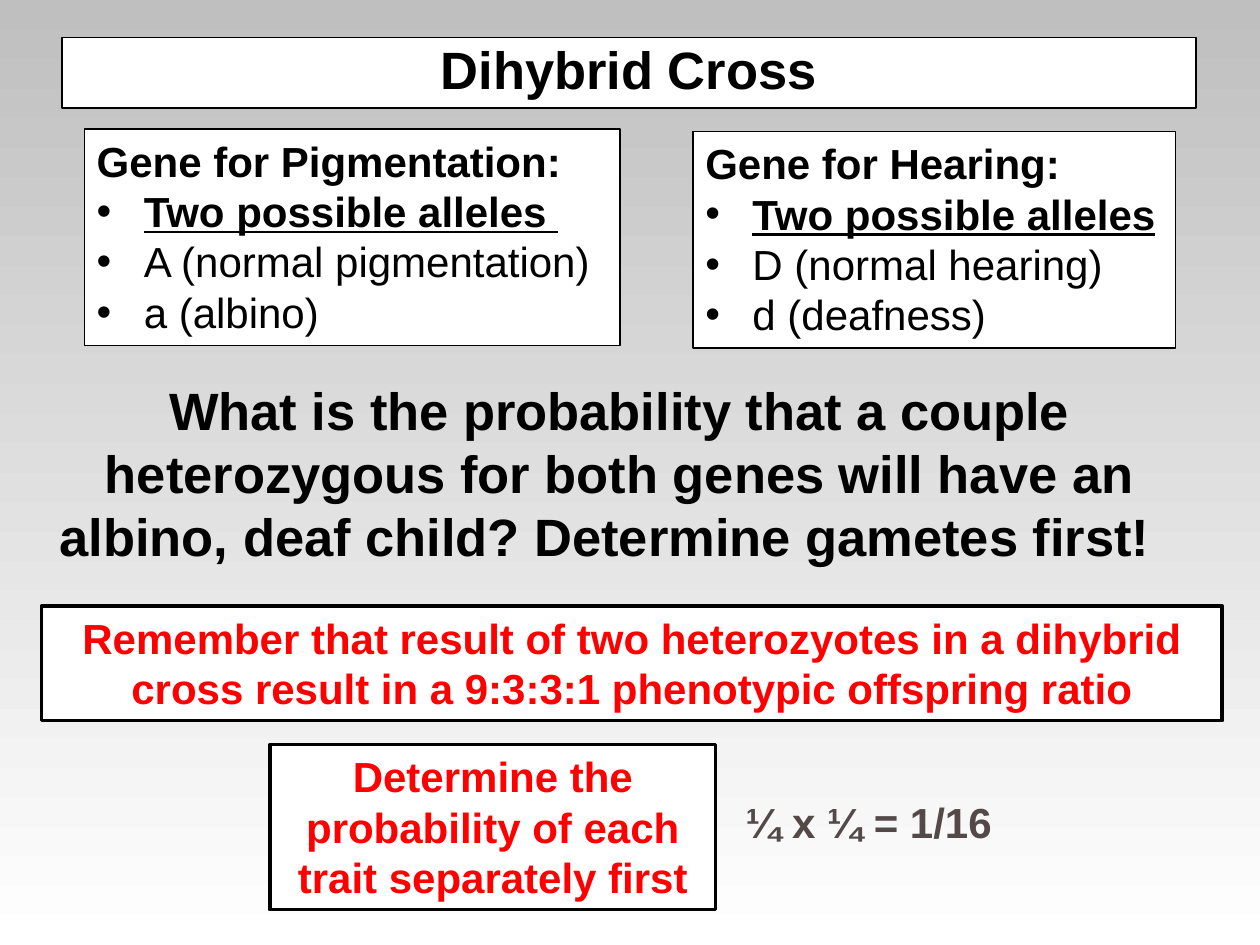
from pptx import Presentation
from pptx.dml.color import RGBColor
from pptx.enum.shapes import MSO_SHAPE
from pptx.enum.text import MSO_ANCHOR, PP_ALIGN as Align
from pptx.oxml.ns import qn
from pptx.util import Cm, Pt
from lxml.etree import SubElement

BLACK = RGBColor(0x00, 0x00, 0x00)
WHITE = RGBColor(0xFF, 0xFF, 0xFF)
GREY = RGBColor(0xBF, 0xBF, 0xBF)
BROWN = RGBColor(0x53, 0x49, 0x49)
RED = RGBColor(0xFF, 0x00, 0x00)


class SlideBuilder:
    """Holds the style and the current slide, and adds each kind of element."""

    font_name = "Arial"
    body_size = 24
    heading_size = 30
    bullet_indent = Cm(0.95)

    def __init__(self, slide):
        self.slide = slide

    def background(self, top, bottom):
        fill = self.slide.background.fill
        fill.gradient()
        fill.gradient_angle = 270
        for stop, color in zip(fill.gradient_stops, (top, bottom)):
            stop.color.rgb = color

    def style(self, paragraph, size, color, align, bold=True, underline=False):
        paragraph.alignment = align
        for run in paragraph.runs:
            font = run.font
            font.name, font.size = self.font_name, Pt(size)
            font.bold, font.underline = bold, underline
            font.color.rgb = color

    def bullet(self, paragraph):
        properties = paragraph._p.get_or_add_pPr()
        properties.set("marL", str(self.bullet_indent))
        properties.set("indent", str(-self.bullet_indent))
        SubElement(properties, qn("a:buFont"), typeface=self.font_name)
        SubElement(properties, qn("a:buChar"), char="•")

    def panel(self, box, line_width):
        shape = self.slide.shapes.add_shape(MSO_SHAPE.RECTANGLE, *map(Cm, box))
        shape.shadow.inherit = False
        shape.fill.solid()
        shape.fill.fore_color.rgb = WHITE
        shape.line.color.rgb = BLACK
        shape.line.width = Pt(line_width)
        shape.text_frame.vertical_anchor = MSO_ANCHOR.TOP
        return shape

    def boxed_text(self, box, text, size, color, line_width):
        text_frame = self.panel(box, line_width).text_frame
        text_frame.text = text
        self.style(text_frame.paragraphs[0], size, color, Align.CENTER)
        return text_frame

    def plain_text(self, box, text, size, color, align):
        text_frame = self.slide.shapes.add_textbox(*map(Cm, box)).text_frame
        text_frame.word_wrap = True
        text_frame.text = text
        self.style(text_frame.paragraphs[0], size, color, align)

    def gene_panel(self, box, heading, subheading, alleles):
        text_frame = self.panel(box, 0.75).text_frame
        text_frame.text = "\n".join([heading, subheading, *alleles])
        for index, paragraph in enumerate(text_frame.paragraphs):
            if index > 0:
                self.bullet(paragraph)
            self.style(paragraph, self.body_size, BLACK, Align.JUSTIFY,
                       bold=index < 2, underline=index == 1)


def main():
    presentation = Presentation()
    presentation.slide_width, presentation.slide_height = Cm(25.4), Cm(19.05)
    slide = presentation.slides.add_slide(presentation.slide_layouts[6])
    builder = SlideBuilder(slide)
    body, heading = builder.body_size, builder.heading_size

    builder.background(GREY, WHITE)
    title = builder.boxed_text((1.25, 0.76, 22.86, 1.42), "Dihybrid Cross",
                               heading, BLACK, 0.75)
    title.paragraphs[0].line_spacing = 0.9

    builder.gene_panel((1.7, 2.6, 10.8, 4.37), "Gene for Pigmentation: ",
                       "Two possible alleles ",
                       ["A (normal pigmentation) ", "a (albino)"])
    builder.gene_panel((13.97, 2.65, 9.73, 4.37), "Gene for Hearing: ",
                       "Two possible alleles",
                       ["D (normal hearing) ", "d (deafness)"])

    builder.plain_text((0.33, 7.49, 24.33, 4.09),
                       "What is the probability that a couple heterozygous for both genes "
                       "will have an albino, deaf child? Determine gametes first!  ",
                       heading, BLACK, Align.CENTER)
    builder.plain_text((14.78, 15.93, 5.51, 1.3), "¼ x ¼ = 1/16",
                       body, BROWN, Align.LEFT)

    builder.boxed_text((5.44, 15.01, 8.99, 3.33),
                       "Determine the probability of each trait separately first",
                       body, RED, 2)
    builder.boxed_text((0.84, 12.22, 23.8, 2.31),
                       "Remember that result of two heterozyotes in a dihybrid cross "
                       "result in a 9:3:3:1 phenotypic offspring ratio",
                       body, RED, 2)

    presentation.save("out.pptx")


if __name__ == "__main__":
    main()
